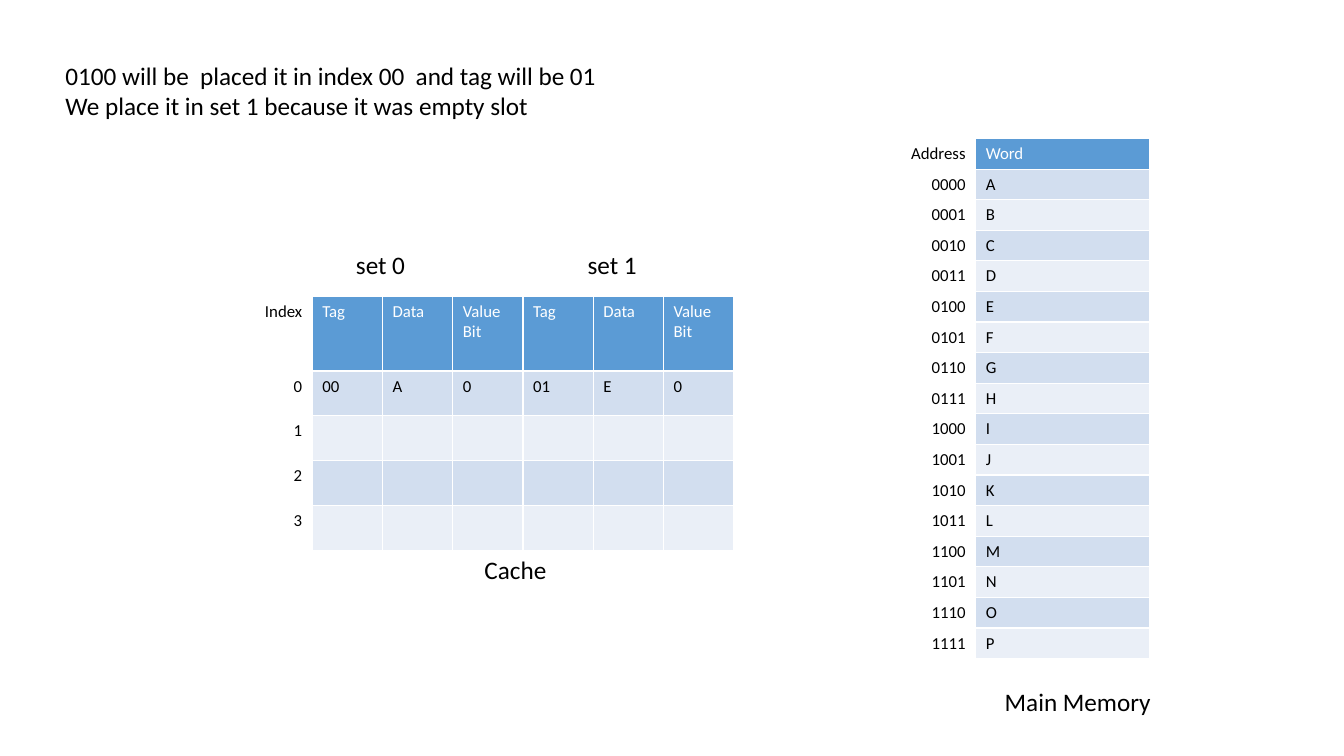
"""Build a slide showing a two-way cache next to main memory."""
import pptx
import pptx.dml.color
import pptx.enum.text
import pptx.oxml
import pptx.oxml.ns
import pptx.util

Cm = pptx.util.Cm
COLORS = {"header": "5B9BD5", "odd": "D2DEEF", "even": "EAEFF7",
          "text": "000000", "header_text": "FFFFFF"}


def style(paragraph, size, color):
    paragraph.font.name = "Calibri"
    paragraph.font.size = pptx.util.Pt(size)
    paragraph.font.bold = False
    paragraph.font.color.rgb = pptx.dml.color.RGBColor.from_string(COLORS[color])


def add_grid(left, top, column_width, heights, rows):
    grid = slide.shapes.add_table(len(rows), len(rows[0]), Cm(left), Cm(top),
                                  Cm(column_width * len(rows[0])), Cm(sum(heights))).table
    for column in grid.columns:
        column.width = Cm(column_width)
    for r, (height, row) in enumerate(zip(heights, rows)):
        grid.rows[r].height = Cm(height)
        band = "header" if r == 0 else "odd" if r % 2 else "even"
        for c, value in enumerate(row):
            cell = grid.cell(r, c)
            cell.text = value
            paragraph = cell.text_frame.paragraphs[0]
            if c == 0:
                cell.fill.background()
                paragraph.alignment = pptx.enum.text.PP_ALIGN.RIGHT
            else:
                cell.fill.solid()
                cell.fill.fore_color.rgb = pptx.dml.color.RGBColor.from_string(COLORS[band])
            style(paragraph, 12, "header_text" if r == 0 and c else "text")


presentation = pptx.Presentation()
presentation.slide_width = Cm(33.87)
presentation.slide_height = Cm(19.05)
slide = presentation.slides.add_slide(presentation.slide_layouts[6])

memory = [["Address", "Word"]]
memory += [[f"{address:04b}", word] for address, word in enumerate("ABCDEFGHIJKLMNOP")]
add_grid(20.22, 3.49, 4.37, [0.77] * len(memory), memory)

cache = [["Index"] + ["Tag", "Data", "Value Bit"] * 2,
         ["0", "00", "A", "0", "01", "E", "0"]]
cache += [[str(index)] + [""] * 6 for index in (1, 2, 3)]
add_grid(6.1, 7.47, 1.77, [1.88] + [1.13] * 4, cache)

captions = [
    (11.96, 13.84, 2.08, 1.03, ["Cache"]),
    (25.07, 17.18, 4.25, 1.03, ["Main Memory"]),
    (8.72, 6.15, 7.9, 1.03, ["set 0\tset 1"]),
    (1.4, 1.4, 14.4, 1.8, ["0100 will be  placed it in index 00  and tag will be 01",
                           "We place it in set 1 because it was empty slot"]),
]
for left, top, width, height, lines in captions:
    frame = slide.shapes.add_textbox(Cm(left), Cm(top), Cm(width), Cm(height)).text_frame
    frame.word_wrap = "\t" in lines[0]
    frame.text = "\n".join(lines)
    for paragraph in frame.paragraphs:
        if "\t" in paragraph.text:
            tabs = pptx.oxml.parse_xml(
                f'<a:tabLst {pptx.oxml.ns.nsdecls("a")}><a:tab pos="{Cm(5.84)}" algn="l"/></a:tabLst>')
            paragraph._p.get_or_add_pPr().append(tabs)
        style(paragraph, 18, "text")

presentation.save("out.pptx")
